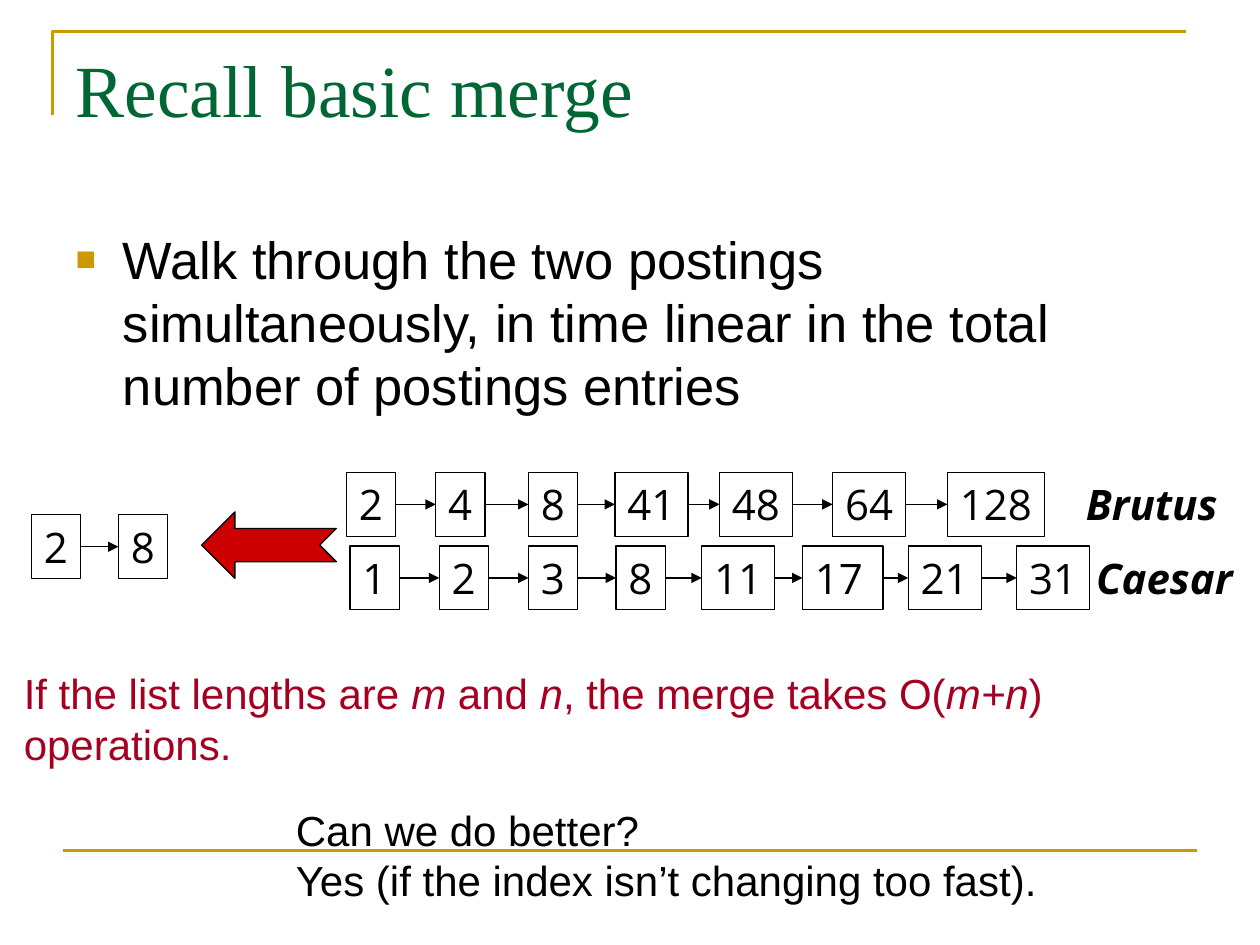
from dataclasses import dataclass

from lxml.etree import SubElement
from pptx import Presentation
from pptx.dml.color import RGBColor
from pptx.enum.shapes import MSO_CONNECTOR as Connector, MSO_SHAPE as Shape
from pptx.enum.text import MSO_ANCHOR as Anchor, MSO_AUTO_SIZE as AutoSize, PP_ALIGN as Align
from pptx.oxml.ns import qn
from pptx.util import Pt


@dataclass(frozen=True)
class Theme:
    gold: str = "CC9900"
    green: str = "006633"
    red: str = "CC0000"
    crimson: str = "A50021"
    black: str = "000000"
    title_font: str = "Times New Roman"
    body_font: str = "Arial"
    list_font: str = "Open Sans"
    title_size: float = 42
    body_size: float = 30
    text_size: float = 24
    frame_line: float = 1.5
    thin_line: float = 0.75


THEME = Theme()
BOX_HEIGHT = 36.5
BOX_WIDTHS = {1: 28.2, 2: 41.8, 3: 55.4}  # by number of digits
NAME_WIDTH = 96


def color(value):
    return RGBColor.from_string(value)


def set_font(paragraph, name, size, value):
    font = paragraph.font
    font.name, font.size = name, Pt(size)
    font.color.rgb = color(value)


def set_line(shape, value, width):
    shape.line.color.rgb = color(value)
    shape.line.width = Pt(width)


def place(shape, left, top, width, height):
    shape.left, shape.top = Pt(left), Pt(top)
    shape.width, shape.height = Pt(width), Pt(height)


def fill_placeholder(shape, text, font, size, value):
    frame = shape.text_frame
    frame.text = text
    frame.auto_size = AutoSize.NONE
    frame.vertical_anchor = Anchor.TOP
    paragraph = frame.paragraphs[0]
    paragraph.alignment = Align.LEFT
    paragraph.space_before = Pt(0)
    set_font(paragraph, font, size, value)
    return paragraph


def add_bullet(paragraph, indent):
    properties = paragraph._p.get_or_add_pPr()
    properties.set("marL", str(Pt(indent)))
    properties.set("indent", str(Pt(-indent)))
    bullet_color = SubElement(properties, qn("a:buClr"))
    SubElement(bullet_color, qn("a:srgbClr")).set("val", THEME.gold)
    SubElement(properties, qn("a:buSzPct")).set("val", "65000")
    SubElement(properties, qn("a:buFont")).set("typeface", THEME.body_font)
    SubElement(properties, qn("a:buChar")).set("char", "■")
    # Default run properties must follow the bullet elements
    defaults = properties.find(qn("a:defRPr"))
    if defaults is not None:
        properties.append(defaults)


def add_line(slide, start, end, value, width, arrow=False):
    line = slide.shapes.add_connector(Connector.STRAIGHT, *map(Pt, start + end))
    set_line(line, value, width)
    if arrow:
        SubElement(line.line._get_or_add_ln(), qn("a:tailEnd")).set("type", "triangle")
    SubElement(line._element.spPr, qn("a:effectLst"))


def add_corner(slide):
    builder = slide.shapes.build_freeform(Pt(30), Pt(66))
    builder.add_line_segments([(Pt(30), Pt(18)), (Pt(678), Pt(18))], close=False)
    corner = builder.convert_to_shape()
    corner.fill.background()
    corner.shadow.inherit = False
    set_line(corner, THEME.gold, THEME.frame_line)


def add_box(slide, text, left, top, width):
    box = slide.shapes.add_shape(
        Shape.RECTANGLE, Pt(left), Pt(top), Pt(width), Pt(BOX_HEIGHT))
    box.shadow.inherit = False
    box.fill.background()
    set_line(box, THEME.black, THEME.thin_line)
    frame = box.text_frame
    frame.word_wrap = False
    frame.vertical_anchor = Anchor.TOP
    frame.text = text
    paragraph = frame.paragraphs[0]
    paragraph.alignment = Align.LEFT
    set_font(paragraph, THEME.list_font, THEME.text_size, THEME.black)


def add_postings(slide, top, postings):
    """Draw the boxes of one list and the arrows between neighbours."""
    middle = top + BOX_HEIGHT / 2
    previous_right = None
    for number, left in postings:
        text = str(number)
        width = 46 if number == 17 else BOX_WIDTHS[len(text)]
        if previous_right is not None:
            add_line(slide, (previous_right, middle), (left, middle),
                     THEME.black, THEME.thin_line, arrow=True)
        add_box(slide, text, left, top, width)
        previous_right = left + width


def add_text(slide, area, lines, font, value):
    """Each line is a list of (text, italic) runs."""
    frame = slide.shapes.add_textbox(*map(Pt, area)).text_frame
    frame.word_wrap = True
    for index, runs in enumerate(lines):
        paragraph = frame.paragraphs[0] if index == 0 else frame.add_paragraph()
        set_font(paragraph, font, THEME.text_size, value)
        for text, italic in runs:
            run = paragraph.add_run()
            run.text = text
            if italic:
                run.font.italic = True
    return frame


def add_list_name(slide, name, left, top):
    frame = add_text(slide, (left, top, NAME_WIDTH, BOX_HEIGHT), [[(name, True)]],
                     THEME.list_font, THEME.black)
    frame.paragraphs[0].font.bold = True


def add_merge_arrow(slide):
    arrow = slide.shapes.add_shape(
        Shape.NOTCHED_RIGHT_ARROW, Pt(115.2), Pt(292.5), Pt(77), Pt(38))
    arrow.rotation = 180
    arrow.shadow.inherit = False
    arrow.fill.solid()
    arrow.fill.fore_color.rgb = color(THEME.red)
    set_line(arrow, THEME.black, THEME.thin_line)


def main():
    presentation = Presentation()
    presentation.slide_width, presentation.slide_height = Pt(720), Pt(540)
    slide = presentation.slides.add_slide(presentation.slide_layouts[1])

    # Frame lines
    add_corner(slide)
    add_line(slide, (36, 486), (684, 486), THEME.gold, THEME.frame_line)

    # Title and bullet
    title, body = slide.shapes.title, slide.placeholders[1]
    place(title, 36, 21.6, 648, 90)
    fill_placeholder(title, "Recall basic merge", THEME.title_font,
                     THEME.title_size, THEME.green)
    place(body, 36, 126, 648, 356.4)
    bullet = fill_placeholder(
        body, "Walk through the two postings simultaneously, in time linear "
        "in the total number of postings entries",
        THEME.body_font, THEME.body_size, THEME.black)
    add_bullet(bullet, 27)

    # Postings lists and their merged result
    brutus_top, caesar_top = 270, 312
    add_postings(slide, brutus_top, [(2, 198), (4, 249), (8, 302), (41, 351.4),
                                     (48, 411.2), (64, 475.8), (128, 541.4)])
    add_postings(slide, caesar_top, [(1, 200), (2, 251), (3, 302), (8, 352), (11, 401),
                                     (17, 458.6), (21, 519), (31, 581)])
    add_list_name(slide, "Brutus", 613.4, brutus_top)
    add_list_name(slide, "Caesar", 619.2, caesar_top)
    add_merge_arrow(slide)
    add_postings(slide, 294.2, [(2, 18), (8, 67.7)])

    # Cost of the merge and closing question
    add_text(slide, (6.5, 378, 602, 65),
             [[("If the list lengths are ", False), ("m", True), (" and ", False),
               ("n", True), (", the merge takes O(", False), ("m+n", True), (")", False)],
              [("operations.", False)]],
             THEME.body_font, THEME.crimson)
    add_text(slide, (162, 456, 446, 65),
             [[("Can we do better?", False)],
              [("Yes (if the index isn’t changing too fast).", False)]],
             THEME.body_font, THEME.black)

    presentation.save("out.pptx")


if __name__ == "__main__":
    main()
